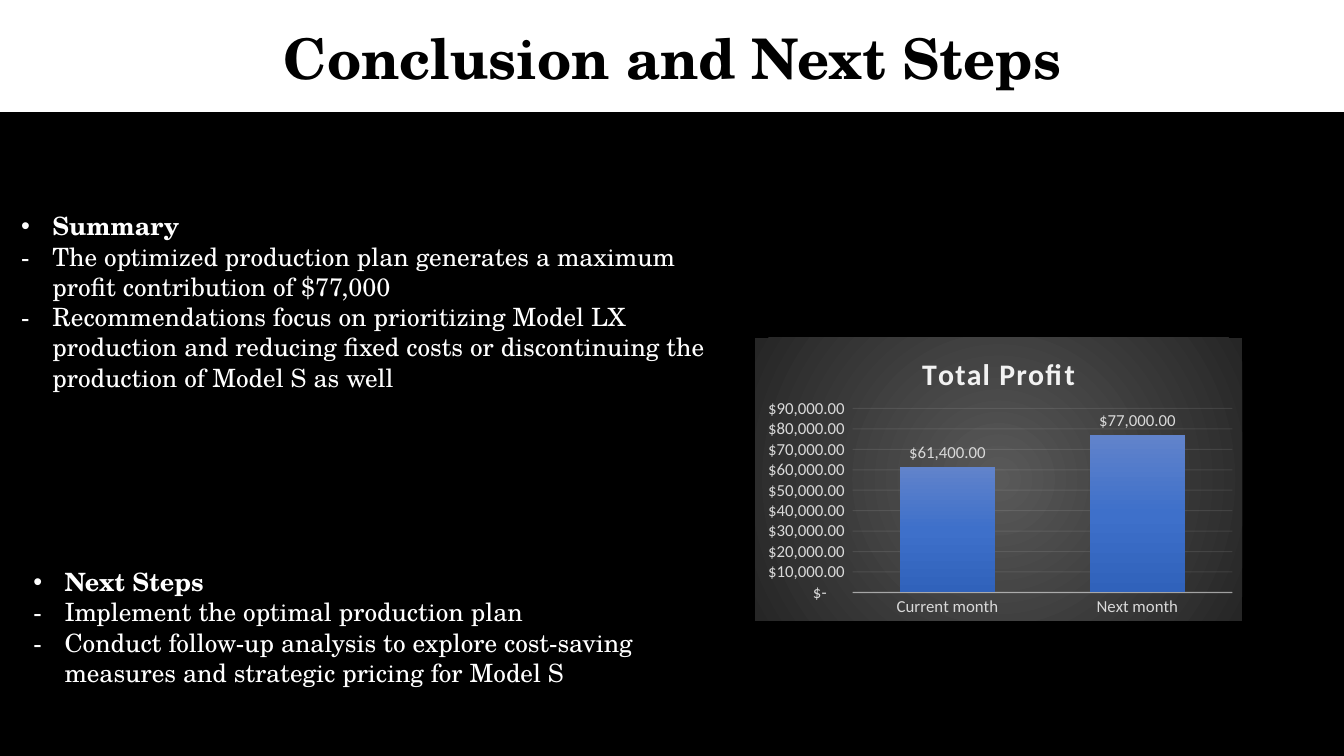
from lxml.etree import SubElement
from pptx import Presentation
from pptx.chart.data import CategoryChartData
from pptx.dml.color import RGBColor
from pptx.enum.chart import XL_CHART_TYPE, XL_LABEL_POSITION, XL_TICK_MARK
from pptx.enum.shapes import MSO_SHAPE
from pptx.enum.text import MSO_ANCHOR, MSO_AUTO_SIZE, PP_ALIGN
from pptx.oxml import parse_xml
from pptx.oxml.ns import nsdecls, qn
from pptx.util import Inches, Pt

BLACK = RGBColor(0x00, 0x00, 0x00)
WHITE = RGBColor(0xFF, 0xFF, 0xFF)
PALE = RGBColor(0xF2, 0xF2, 0xF2)
SILVER = RGBColor(0xD9, 0xD9, 0xD9)
CHARCOAL = RGBColor(0x26, 0x26, 0x26)
GREY = RGBColor(0x59, 0x59, 0x59)
BLUES = [RGBColor(0x61, 0x83, 0xCB), RGBColor(0x3E, 0x70, 0xCA), RGBColor(0x30, 0x62, 0xBB)]
SERIF = "TeX Gyre Schola"
SANS = "Calibri"
DOLLARS = '_-[$$-409]* #,##0.00_ ;_-[$$-409]* \\-#,##0.00\\ ;_-[$$-409]* "-"??_ ;_-@_ '


def set_all(target, values):
    for name, value in values.items():
        setattr(target, name, value)


def gradient(colours, direction):
    step = 100000 // (len(colours) - 1)
    stops = "".join(
        f'<a:gs pos="{i * step}"><a:srgbClr val="{colour}"/></a:gs>'
        for i, colour in enumerate(colours)
    )
    return f'<a:gradFill {nsdecls("a")}><a:gsLst>{stops}</a:gsLst>{direction}</a:gradFill>'


prs = Presentation()
set_all(prs, {"slide_width": Inches(13.33), "slide_height": Inches(7.5)})
slide = prs.slides.add_slide(prs.slide_layouts[3])

backdrop = slide.shapes.add_shape(
    MSO_SHAPE.RECTANGLE, 0, Inches(1.12), Inches(13.33), Inches(6.38)
)
backdrop.shadow.inherit = False
backdrop.fill.solid()
backdrop.fill.fore_color.rgb = BLACK
backdrop.line.color.rgb = BLACK
backdrop.line.width = Pt(1)
slide.shapes.title.element.addprevious(backdrop.element)

heading = slide.shapes.title
set_all(heading, {"left": Inches(0.23), "top": Inches(0.18),
                  "width": Inches(12.88), "height": Inches(0.77)})
heading.text_frame.text = "Conclusion and Next Steps"
set_all(heading.text_frame, {"word_wrap": True, "vertical_anchor": MSO_ANCHOR.MIDDLE,
                             "auto_size": MSO_AUTO_SIZE.SHAPE_TO_FIT_TEXT})
heading_line = heading.text_frame.paragraphs[0]
heading_line.alignment = PP_ALIGN.CENTER
set_all(heading_line.font, {"name": SERIF, "size": Pt(40), "bold": True})
heading_line.font.color.rgb = BLACK

sections = [
    (1, (0.11, 2.04, 7.16, 1.92), [
        "Summary",
        "The optimized production plan generates a maximum profit contribution of $77,000",
        "Recommendations focus on prioritizing Model LX production and reducing fixed costs "
        "or discontinuing the production of Model S as well",
    ]),
    (2, (0.23, 5.57, 6.63, 1.62), [
        "Next Steps",
        "Implement the optimal production plan",
        "Conduct follow-up analysis to explore cost-saving measures and strategic pricing "
        "for Model S",
    ]),
]
for index, box, lines in sections:
    section = slide.placeholders[index]
    set_all(section, dict(zip(("left", "top", "width", "height"), map(Inches, box))))
    section.text_frame.text = "\n".join(lines)
    set_all(section.text_frame, {"word_wrap": True, "vertical_anchor": MSO_ANCHOR.TOP,
                                 "auto_size": MSO_AUTO_SIZE.SHAPE_TO_FIT_TEXT})
    for number, point in enumerate(section.text_frame.paragraphs):
        set_all(point, {"space_before": Pt(0), "space_after": Pt(0), "line_spacing": 1.0})
        properties = point._p.get_or_add_pPr()
        properties.set("marL", str(Inches(0.31)))
        properties.set("indent", str(Inches(-0.31)))
        SubElement(properties, qn("a:buFont")).set("typeface", "Arial" if number == 0 else SERIF)
        SubElement(properties, qn("a:buChar")).set("char", "•" if number == 0 else "-")
        set_all(point.font, {"name": SERIF, "size": Pt(18), "bold": number == 0})
        point.font.color.rgb = WHITE

profit_data = CategoryChartData()
profit_data.categories = ["Current month", "Next month"]
profit_data.add_series("Total Profit", [61400, 77000])
profit = slide.shapes.add_chart(
    XL_CHART_TYPE.COLUMN_CLUSTERED,
    Inches(7.49), Inches(3.35), Inches(4.83), Inches(2.81), profit_data,
).chart
profit.has_legend = False
set_all(profit.font, {"name": SANS, "size": Pt(10)})
profit.has_title = True
profit.chart_title.include_in_layout = False
profit.chart_title.text_frame.text = "Total Profit"
caption = profit.chart_title.text_frame.paragraphs[0].runs[0]
set_all(caption.font, {"name": SANS, "size": Pt(21.3), "bold": True})
caption.font.color.rgb = PALE
caption._r.get_or_add_rPr().set("spc", "100")

plot = profit.plots[0]
set_all(plot, {"gap_width": 100, "overlap": -24, "vary_by_categories": False,
               "has_data_labels": True})
set_all(plot.data_labels, {"show_value": True, "position": XL_LABEL_POSITION.OUTSIDE_END,
                           "number_format": DOLLARS, "number_format_is_linked": False})
months, amounts = profit.category_axis, profit.value_axis
set_all(amounts, {"minimum_scale": 0, "maximum_scale": 90000, "major_unit": 10000,
                  "has_major_gridlines": True})
set_all(amounts.tick_labels, {"number_format": DOLLARS, "number_format_is_linked": False})
for axis in (months, amounts):
    set_all(axis, {"major_tick_mark": XL_TICK_MARK.NONE, "minor_tick_mark": XL_TICK_MARK.NONE})
for labels in (plot.data_labels, months.tick_labels, amounts.tick_labels):
    set_all(labels.font, {"name": SANS, "size": Pt(12)})
    labels.font.color.rgb = SILVER
amounts.format.line.fill.background()
for rule, width, opacity in ((months.format.line, 1, 54),
                             (amounts.major_gridlines.format.line, 0.75, 10)):
    rule.color.rgb = PALE
    rule.width = Pt(width)
    colour = next(rule._get_or_add_ln().iter(qn("a:srgbClr")))
    SubElement(colour, qn("a:alpha")).set("val", str(opacity * 1000))

bars = plot.series[0]
bars.invert_if_negative = False
bars.format.fill.solid()
bar_fill = bars._element.find(qn("c:spPr")).find(qn("a:solidFill"))
bar_fill.getparent().replace(
    bar_fill, parse_xml(gradient(BLUES, '<a:lin ang="5400000" scaled="0"/>'))
)

glow = gradient(
    [GREY, CHARCOAL],
    '<a:path path="circle"><a:fillToRect l="50000" t="50000" r="50000" b="50000"/></a:path>',
)
chart_body = profit._chartSpace.find(qn("c:chart"))
chart_body.addnext(parse_xml(
    f'<c:spPr {nsdecls("c", "a")}>{glow}<a:ln><a:noFill/></a:ln></c:spPr>'
))
plot_area = chart_body.find(qn("c:plotArea"))
for old_layout in plot_area.findall(qn("c:layout")):
    plot_area.remove(old_layout)
plot_area.insert(0, parse_xml(
    f'<c:layout {nsdecls("c")}><c:manualLayout><c:layoutTarget val="inner"/>'
    '<c:xMode val="edge"/><c:yMode val="edge"/><c:x val="0.2"/><c:y val="0.25"/>'
    '<c:w val="0.78"/><c:h val="0.65"/></c:manualLayout></c:layout>'
))

prs.save("out.pptx")
